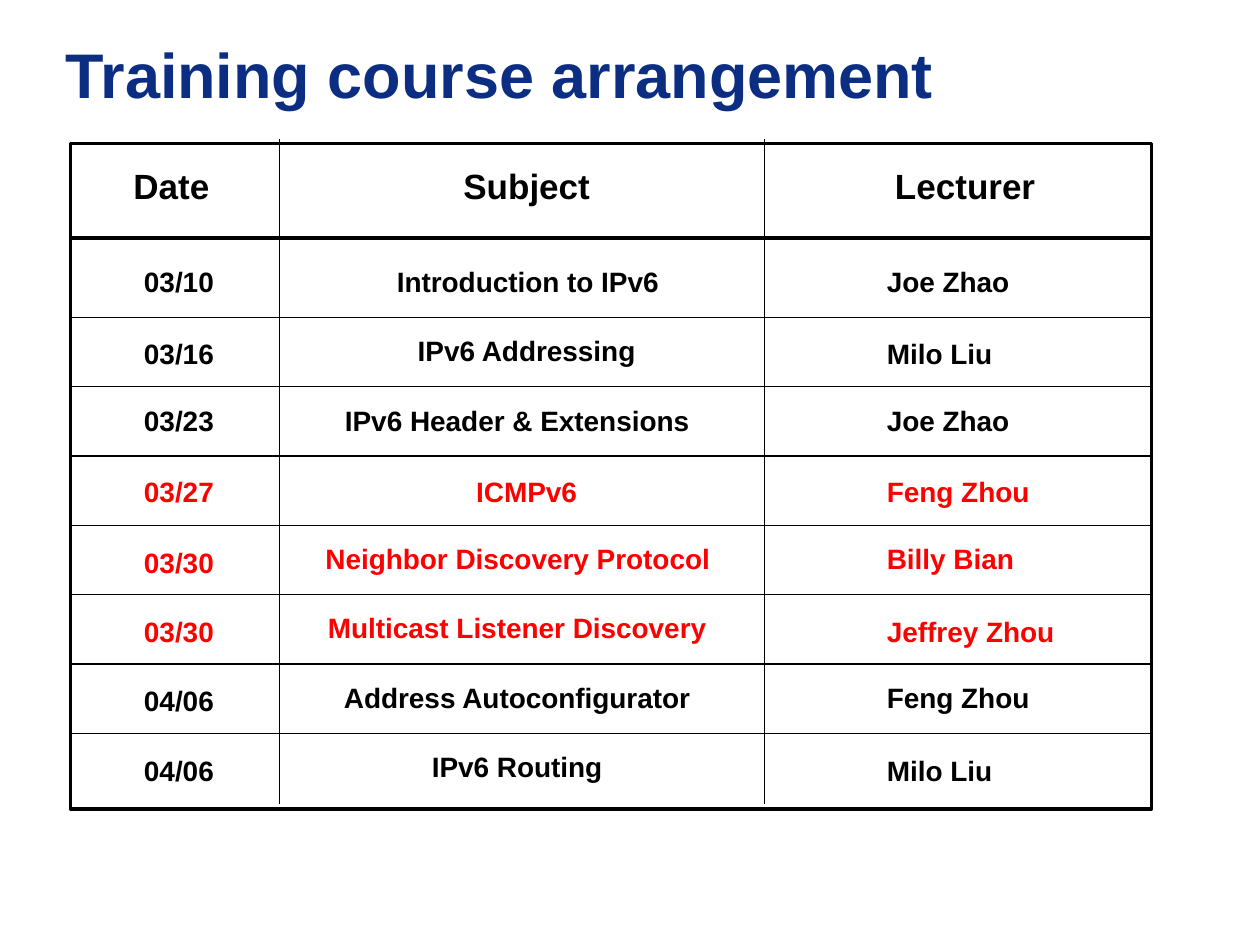
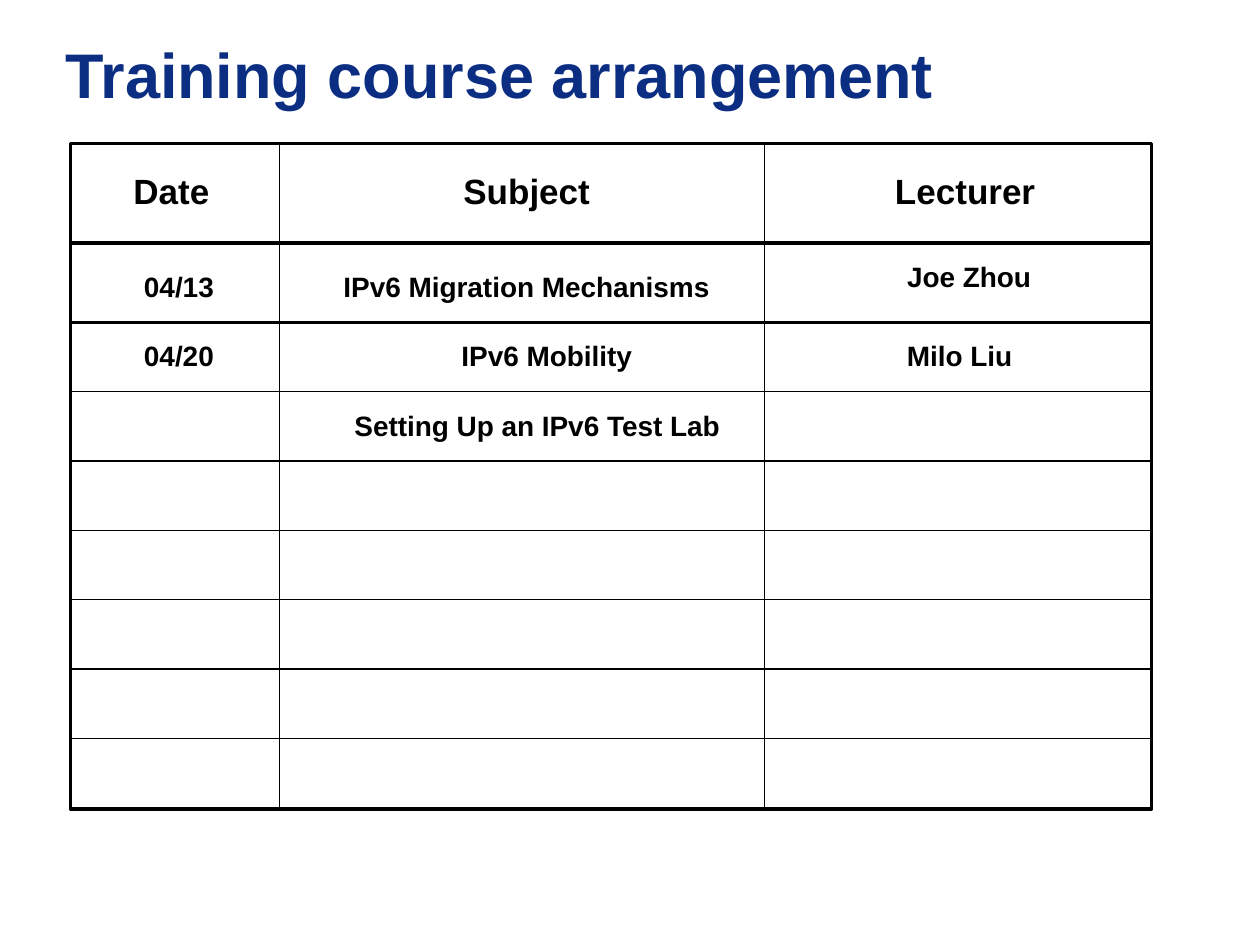
"""Build the two-slide training course timetable."""
from lxml import etree
from pptx import Presentation
from pptx import util as u
from pptx.dml.color import RGBColor
from pptx.enum import shapes, text
from pptx.oxml import ns

NAVY = RGBColor(0x0C, 0x2E, 0x82)
BLACK = RGBColor(0x00, 0x00, 0x00)
RED = RGBColor(0xFF, 0x00, 0x00)
FONT = "Arial"
CENTER, LEFT = text.PP_ALIGN.CENTER, text.PP_ALIGN.LEFT

FRAME_LEFT, FRAME_TOP, FRAME_WIDTH, FRAME_HEIGHT = 0.56, 1.14, 8.58, 5.28
FRAME_RIGHT = 9.15
COLUMN_LINES = (2.22, 6.07)
ROW_PITCH = 0.55
HEADINGS = (("Date", 0.5), ("Subject", 3.32), ("Lecturer", 6.8))

# Each row: date, (subject, left, width), (lecturer, width), colour,
# and how far the three texts sit below the row's regular top.
MARCH_ROWS = (
    ("03/10", ("Introduction to IPv6", 2.22, 3.94), ("Joe Zhao", 1.2), BLACK, (0, 0, 0)),
    ("03/16", ("IPv6 Addressing", 2.45, 3.46), ("Milo Liu", 1.2), BLACK, (0.02, 0, 0.02)),
    ("03/23", ("IPv6 Header & Extensions", 2.37, 3.47), ("Joe Zhao", 1.2), BLACK, (0, 0, 0)),
    ("03/27", ("ICMPv6", 2.45, 3.46), ("Feng Zhou", 1.42), RED, (0.02, 0.02, 0.02)),
    ("03/30", ("Neighbor Discovery Protocol", 2.22, 3.78), ("Billy Bian", 1.34), RED, (0.03, 0, 0)),
    ("03/30", ("Multicast Listener Discovery", 2.37, 3.47), ("Jeffrey Zhou", 1.65), RED, (0.03, 0, 0.03)),
    ("04/06", ("Address Autoconfigurator", 2.37, 3.47), ("Feng Zhou", 1.5), BLACK, (0.03, 0, 0)),
    ("04/06", ("IPv6 Routing", 2.37, 3.47), ("Milo Liu", 1.2), BLACK, (0.03, 0, 0.03)),
)
APRIL_ROWS = (
    ("04/13", ("IPv6 Migration Mechanisms", 2.45, 3.46), ("Joe Zhou", 1.42), BLACK, (0, 0, -0.08)),
    ("04/20", ("IPv6 Mobility", 3.54, 1.6), ("Milo Liu", 1.2), BLACK, (0, 0, 0)),
    ("", ("Setting Up an IPv6 Test Lab", 2.53, 3.47), ("", 0), BLACK, (0, 0, 0)),
)
# Each slide: rows, downward shift of the grid, number of heavy rules, lecturer left.
TIMETABLES = ((MARCH_ROWS, 0, 1, 6.94), (APRIL_ROWS, 0.04, 2, 7.1))


def add_rule(slide, x1, y1, x2, y2, weight):
    """Draw a black straight line without a shadow."""
    line = slide.shapes.add_connector(
        shapes.MSO_CONNECTOR.STRAIGHT, u.Inches(x1), u.Inches(y1), u.Inches(x2), u.Inches(y2))
    line.line.color.rgb = BLACK
    line.line.width = u.Pt(weight)
    etree.SubElement(line._element.spPr, ns.qn("a:effectLst"))


def add_label(slide, words, left, top, width, size, color=BLACK, alignment=CENTER):
    """Write one bold line of text, skipping empty cells."""
    if not words:
        return
    height = 0.44 if size == 20 else 0.37
    box = slide.shapes.add_textbox(u.Inches(left), u.Inches(top), u.Inches(width), u.Inches(height))
    box.text_frame.word_wrap = True
    box.text_frame.auto_size = text.MSO_AUTO_SIZE.SHAPE_TO_FIT_TEXT
    paragraph = box.text_frame.paragraphs[0]
    paragraph.text = words
    paragraph.alignment = alignment
    paragraph.space_before = u.Pt(size * 0.625)
    font = paragraph.runs[0].font
    font.name, font.size, font.bold, font.color.rgb = FONT, u.Pt(size), True, color


presentation = Presentation()
presentation.slide_width, presentation.slide_height = u.Inches(10), u.Inches(7.5)

for rows, shift, heavy_rules, lecturer_left in TIMETABLES:
    slide = presentation.slides.add_slide(presentation.slide_layouts[5])

    title = slide.shapes.title
    title.left, title.top, title.width, title.height = (
        u.Inches(0.42), u.Inches(0), u.Inches(8.83), u.Inches(1.17))
    title.text_frame.text = "Training course arrangement"
    title.text_frame.vertical_anchor = text.MSO_ANCHOR.MIDDLE
    paragraph = title.text_frame.paragraphs[0]
    paragraph.alignment = LEFT
    font = paragraph.runs[0].font
    font.name, font.size, font.bold, font.color.rgb = FONT, u.Pt(36), True, NAVY

    frame = slide.shapes.add_shape(
        shapes.MSO_SHAPE.RECTANGLE, u.Inches(FRAME_LEFT), u.Inches(FRAME_TOP),
        u.Inches(FRAME_WIDTH), u.Inches(FRAME_HEIGHT))
    frame.shadow.inherit = False
    frame.fill.background()
    frame.line.color.rgb = BLACK
    frame.line.width = u.Pt(2)

    row_lines = [1.89] + [2.52 + ROW_PITCH * row for row in range(7)]
    for index, y in enumerate(row_lines):
        weight = 2 if index < heavy_rules else 0.75
        add_rule(slide, FRAME_LEFT, y + shift, FRAME_RIGHT, y + shift, weight)
    for x in COLUMN_LINES:
        add_rule(slide, x, 1.1 + shift, x, 6.38 + shift, 0.75)

    for heading, left in HEADINGS:
        add_label(slide, heading, left, 1.26 + shift, 1.72, 20)

    for index, (date, subject, lecturer, color, drops) in enumerate(rows):
        date_top, subject_top, lecturer_top = (
            2.05 + shift + ROW_PITCH * index + drop for drop in drops)
        add_label(slide, date, 0.95, date_top, 0.94, 16, color)
        add_label(slide, subject[0], subject[1], subject_top, subject[2], 16, color)
        add_label(slide, lecturer[0], lecturer_left, lecturer_top, lecturer[1], 16, color, LEFT)

presentation.save("out.pptx")
